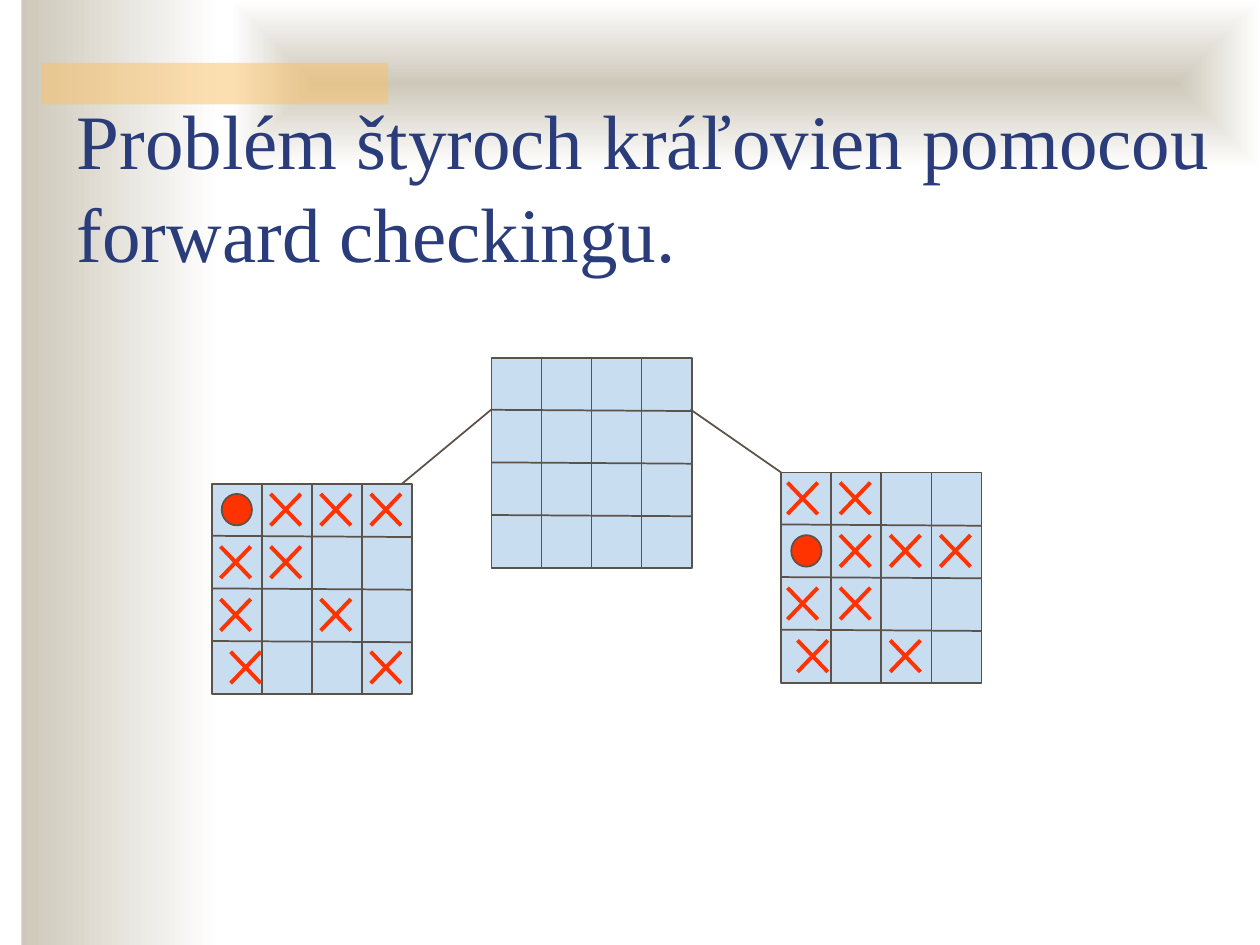
"""Draw the four queens problem solved by forward checking as three linked boards."""
from dataclasses import dataclass

from lxml import etree
from pptx import Presentation
from pptx import util as u
from pptx.dml.color import RGBColor
from pptx.enum import shapes, text
from pptx.oxml import ns

COLORS = {
    "sand": "CEC8BA",
    "white": "FFFFFF",
    "amber": "FAC164",
    "title": "2A3D7A",
    "board": "C9DDF1",
    "ink": "5B5249",
    "mark": "FF3300",
}
FONT = "Times New Roman"
CELLS = 4
BOARD_W, BOARD_H = 1.59, 1.67
CELL_W, CELL_H = BOARD_W / CELLS, BOARD_H / CELLS
CROSS_W, CROSS_H = 0.24, 0.25
ROW_SLANT = 0.01


@dataclass(frozen=True)
class Cross:
    row: int
    col: int
    nudge: float = 0.0


@dataclass(frozen=True)
class Board:
    left: float
    top: float
    queen_row: int | None = None
    crosses: tuple[Cross, ...] = ()


@dataclass(frozen=True)
class Branch:
    start: tuple[float, float]
    end: tuple[float, float]


BOARDS = (
    Board(3.9, 2.84),
    Board(1.68, 3.84, 0, (
        Cross(0, 1), Cross(0, 2), Cross(0, 3), Cross(1, 1), Cross(2, 2),
        Cross(3, 3), Cross(1, 0), Cross(2, 0), Cross(3, 0, 0.08),
    )),
    Board(6.2, 3.75, 1, (
        Cross(1, 1), Cross(1, 2), Cross(1, 3), Cross(0, 1), Cross(2, 1),
        Cross(3, 2), Cross(0, 0, -0.02), Cross(2, 0, -0.02), Cross(3, 0, 0.06),
    )),
)
BRANCHES = (
    Branch((3.9, 3.25), (3.19, 3.84)),
    Branch((5.48, 3.25), (6.2, 3.75)),
)


def rgb(name: str) -> RGBColor:
    return RGBColor.from_string(COLORS[name])


def add_block(parent, kind, left: float, top: float, width: float, height: float,
              fill: str | None = None, line: str | None = None):
    block = parent.add_shape(kind, *map(u.Inches, (left, top, width, height)))
    block.shadow.inherit = False
    if fill:
        block.fill.solid()
        block.fill.fore_color.rgb = rgb(fill)
    if line:
        block.line.color.rgb = rgb(line)
        block.line.width = u.Pt(1)
    else:
        block.line.fill.background()
    return block


def add_line(parent, start: tuple[float, float], end: tuple[float, float],
             color: str = "ink", width: float = 1) -> None:
    line = parent.add_connector(shapes.MSO_CONNECTOR.STRAIGHT, *map(u.Inches, (*start, *end)))
    line.line.color.rgb = rgb(color)
    line.line.width = u.Pt(width)
    etree.SubElement(line.element.spPr, ns.qn("a:effectLst"))


def add_fade(parent, left: float, top: float, width: float, height: float,
             from_center: bool = False) -> None:
    band = add_block(parent, shapes.MSO_SHAPE.RECTANGLE, left, top, width, height)
    band.fill.gradient()
    band.fill.gradient_angle = 0
    for stop, color in zip(band.fill.gradient_stops, ("sand", "white")):
        stop.color.rgb = rgb(color)
    if from_center:
        gradient = band.element.spPr.find(ns.qn("a:gradFill"))
        linear = gradient.find(ns.qn("a:lin"))
        radial = etree.Element(ns.qn("a:path"), path="rect")
        etree.SubElement(radial, ns.qn("a:fillToRect"), l="50000", t="50000", r="50000", b="50000")
        gradient.replace(linear, radial)


def add_backdrop(parent) -> None:
    add_fade(parent, 0.17, 0, 1.58, 7.5)
    add_fade(parent, 1.83, 0, 8.17, 1.33, from_center=True)
    accent = add_block(parent, shapes.MSO_SHAPE.RECTANGLE, 0.33, 0.5, 2.75, 0.33, "amber")
    tint = accent.element.spPr.find(".//" + ns.qn("a:srgbClr"))
    etree.SubElement(tint, ns.qn("a:alpha"), val="50000")


def set_title(title, wording: str) -> None:
    title.left, title.top, title.width, title.height = map(u.Inches, (0.51, 0.84, 9.24, 1.26))
    frame = title.text_frame
    frame.word_wrap = True
    frame.auto_size = text.MSO_AUTO_SIZE.NONE
    frame.vertical_anchor = text.MSO_ANCHOR.MIDDLE
    heading = frame.paragraphs[0]
    heading.alignment = text.PP_ALIGN.LEFT
    run = heading.add_run()
    run.text = wording
    run.font.name = FONT
    run.font.size = u.Pt(44)
    run.font.color.rgb = rgb("title")


def add_board(parent, board: Board) -> None:
    grid = parent.add_group_shape().shapes
    right, bottom = board.left + BOARD_W, board.top + BOARD_H
    add_block(grid, shapes.MSO_SHAPE.RECTANGLE, board.left, board.top, BOARD_W, BOARD_H,
              "board", "ink")
    for step in range(1, CELLS):
        x, y = board.left + step * CELL_W, board.top + step * CELL_H
        add_line(grid, (x, board.top), (x, bottom))
        add_line(grid, (right, y + ROW_SLANT / 2), (board.left, y - ROW_SLANT / 2))


def add_queen(parent, board: Board) -> None:
    add_block(parent, shapes.MSO_SHAPE.OVAL, board.left + 0.08,
              board.top + 0.08 + board.queen_row * CELL_H, 0.24, 0.25, "mark", "ink")


def add_cross(parent, board: Board, cross: Cross) -> None:
    strokes = parent.add_group_shape().shapes
    left = board.left + 0.07 + cross.col * CELL_W + cross.nudge
    top = board.top + 0.08 + cross.row * CELL_H
    right, bottom = left + CROSS_W, top + CROSS_H
    add_line(strokes, (left, top), (right, bottom), "mark", 2.25)
    add_line(strokes, (right, top), (left, bottom), "mark", 2.25)


def main() -> None:
    deck = Presentation()
    deck.slide_width, deck.slide_height = u.Inches(10), u.Inches(7.5)
    slide = deck.slides.add_slide(deck.slide_layouts[5])
    canvas = slide.shapes
    title = canvas.title
    add_backdrop(canvas)
    title.element.getparent().append(title.element)
    set_title(title, "Problém štyroch kráľovien pomocou forward checkingu.")
    for board in BOARDS:
        add_board(canvas, board)
    for branch in BRANCHES:
        add_line(canvas, branch.start, branch.end)
    for board in BOARDS:
        if board.queen_row is not None:
            add_queen(canvas, board)
        for cross in board.crosses:
            add_cross(canvas, board, cross)
    deck.save("out.pptx")


if __name__ == "__main__":
    main()
